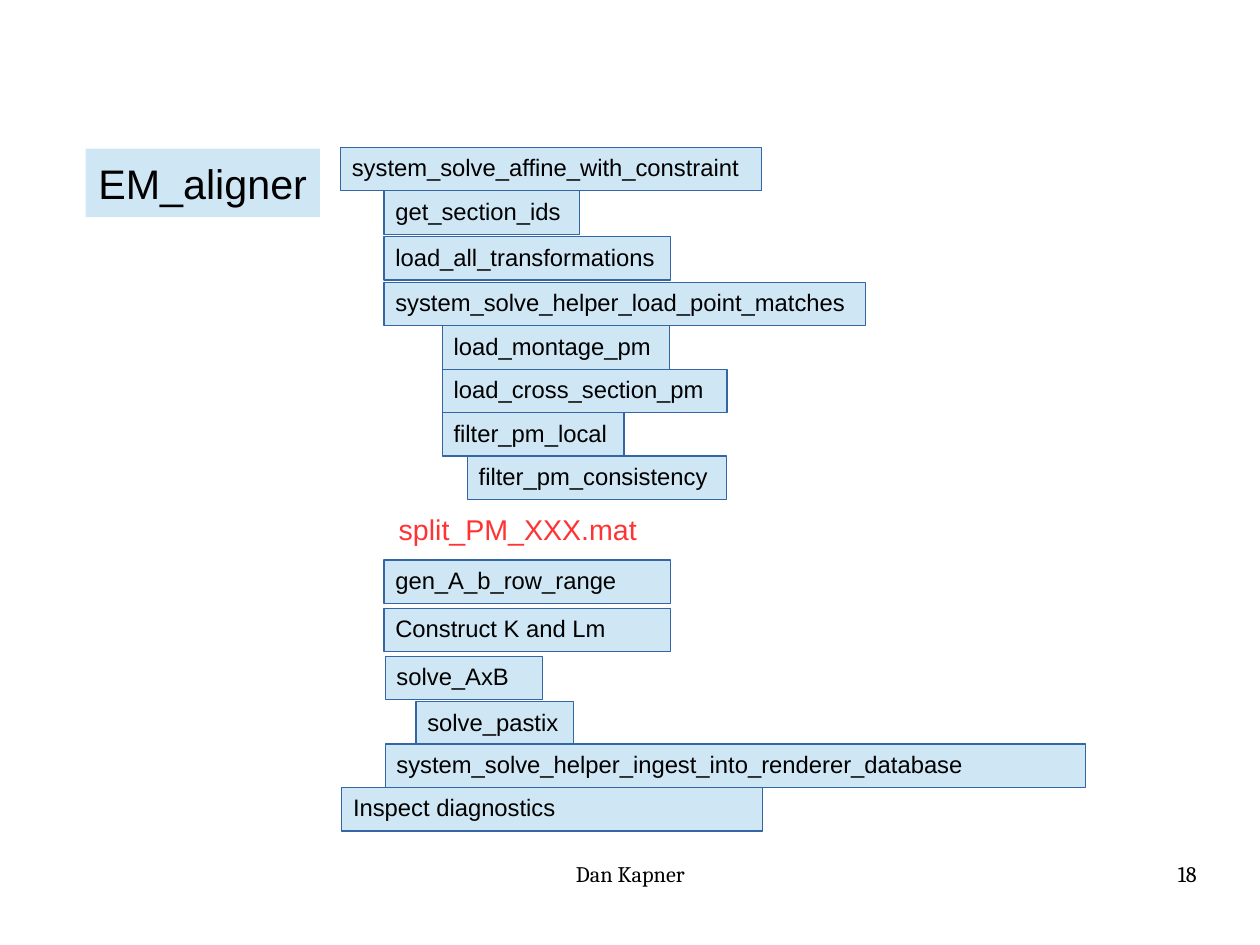
from dataclasses import dataclass

from pptx import Presentation
from pptx.dml.color import RGBColor
from pptx.enum.shapes import MSO_SHAPE
from pptx.enum.text import MSO_ANCHOR, MSO_AUTO_SIZE, PP_ALIGN
from pptx.shapes.autoshape import Shape
from pptx.slide import Slide
from pptx.util import Cm, Inches, Pt

COLORS = {"box": "CFE7F5", "border": "3465A4", "text": "000000", "file": "FF3333"}
STEP_HEIGHT = 0.38
MAIN, CALL, NESTED = 2.98, 3.36, 3.87


@dataclass(frozen=True)
class Step:
    name: str
    left: float
    top: float
    width: float


@dataclass(frozen=True)
class Label:
    text: str
    left: float
    top: float
    width: float
    height: float
    size: float
    font: str
    color: str = "text"
    alignment: PP_ALIGN = PP_ALIGN.LEFT
    margins: tuple[float, float] = (0, 0)


STEPS = [
    Step("system_solve_affine_with_constraint", MAIN, 1.29, 3.68),
    Step("get_section_ids", CALL, 1.67, 1.71),
    Step("load_all_transformations", CALL, 2.07, 2.51),
    Step("system_solve_helper_load_point_matches", CALL, 2.47, 4.21),
    Step("load_montage_pm", NESTED, 2.85, 1.99),
    Step("load_cross_section_pm", NESTED, 3.23, 2.49),
    Step("filter_pm_local", NESTED, 3.61, 1.59),
    Step("filter_pm_consistency", 4.09, 3.99, 2.27),
    Step("gen_A_b_row_range", CALL, 4.9, 2.51),
    Step("Construct K and Lm", CALL, 5.32, 2.51),
    Step("solve_AxB", 3.37, 5.74, 1.38),
    Step("solve_pastix", 3.64, 6.14, 1.38),
    Step("system_solve_helper_ingest_into_renderer_database", 3.37, 6.51, 6.13),
    Step("Inspect diagnostics", 2.99, 6.89, 3.68),
]

LABELS = [
    Label("split_PM_XXX.mat", 3.39, 4.43, 2.33, 0.38, 18, "Arial", "file", margins=(0.1, 0.05)),
    Label("Dan Kapner", 3.77, 7.53, 3.49, 0.57, 14, "Cambria", alignment=PP_ALIGN.CENTER),
    Label("18", 7.9, 7.53, 2.57, 0.57, 14, "Cambria", alignment=PP_ALIGN.RIGHT),
]


def color(name: str) -> RGBColor:
    return RGBColor.from_string(COLORS[name])


def set_attributes(target: object, values: dict[str, object]) -> None:
    for name, value in values.items():
        setattr(target, name, value)


def fill_box(shape: Shape) -> None:
    shape.fill.solid()
    shape.fill.fore_color.rgb = color("box")


def write_text(
    shape: Shape,
    text: str,
    size: float,
    font: str = "Arial",
    color_name: str = "text",
    alignment: PP_ALIGN = PP_ALIGN.LEFT,
    anchor: MSO_ANCHOR = MSO_ANCHOR.TOP,
    margins: tuple[float, float] = (0.1, 0.05),
) -> None:
    horizontal, vertical = (Inches(margin) for margin in margins)
    frame = shape.text_frame
    set_attributes(frame, {
        "text": text,
        "word_wrap": True,
        "auto_size": MSO_AUTO_SIZE.NONE,
        "vertical_anchor": anchor,
        "margin_left": horizontal,
        "margin_right": horizontal,
        "margin_top": vertical,
        "margin_bottom": vertical,
    })
    paragraph = frame.paragraphs[0]
    paragraph.alignment = alignment
    run_font = paragraph.runs[0].font
    set_attributes(run_font, {"name": font, "size": Pt(size)})
    run_font.color.rgb = color(color_name)


def add_title(slide: Slide) -> None:
    title = slide.shapes.title
    set_attributes(title, {
        "left": Inches(0.75),
        "top": Inches(1.3),
        "width": Inches(2.05),
        "height": Inches(0.6),
    })
    fill_box(title)
    write_text(title, "EM_aligner", 26, alignment=PP_ALIGN.CENTER,
               anchor=MSO_ANCHOR.MIDDLE, margins=(0, 0))


def add_step(slide: Slide, step: Step) -> None:
    shape = slide.shapes.add_shape(
        MSO_SHAPE.RECTANGLE, Inches(step.left), Inches(step.top),
        Inches(step.width), Inches(STEP_HEIGHT),
    )
    shape.shadow.inherit = False
    fill_box(shape)
    shape.line.color.rgb = color("border")
    shape.line.width = Pt(0)
    write_text(shape, step.name, 15)


def add_label(slide: Slide, label: Label) -> None:
    shape = slide.shapes.add_textbox(
        Inches(label.left), Inches(label.top), Inches(label.width), Inches(label.height)
    )
    write_text(shape, label.text, label.size, label.font, label.color,
               label.alignment, margins=label.margins)


def main() -> None:
    presentation = Presentation()
    presentation.slide_width = Cm(28)
    presentation.slide_height = Cm(21)
    slide = presentation.slides.add_slide(presentation.slide_layouts.get_by_name("Title Only"))
    add_title(slide)
    for step in STEPS:
        add_step(slide, step)
    for label in LABELS:
        add_label(slide, label)
    presentation.save("out.pptx")


if __name__ == "__main__":
    main()
